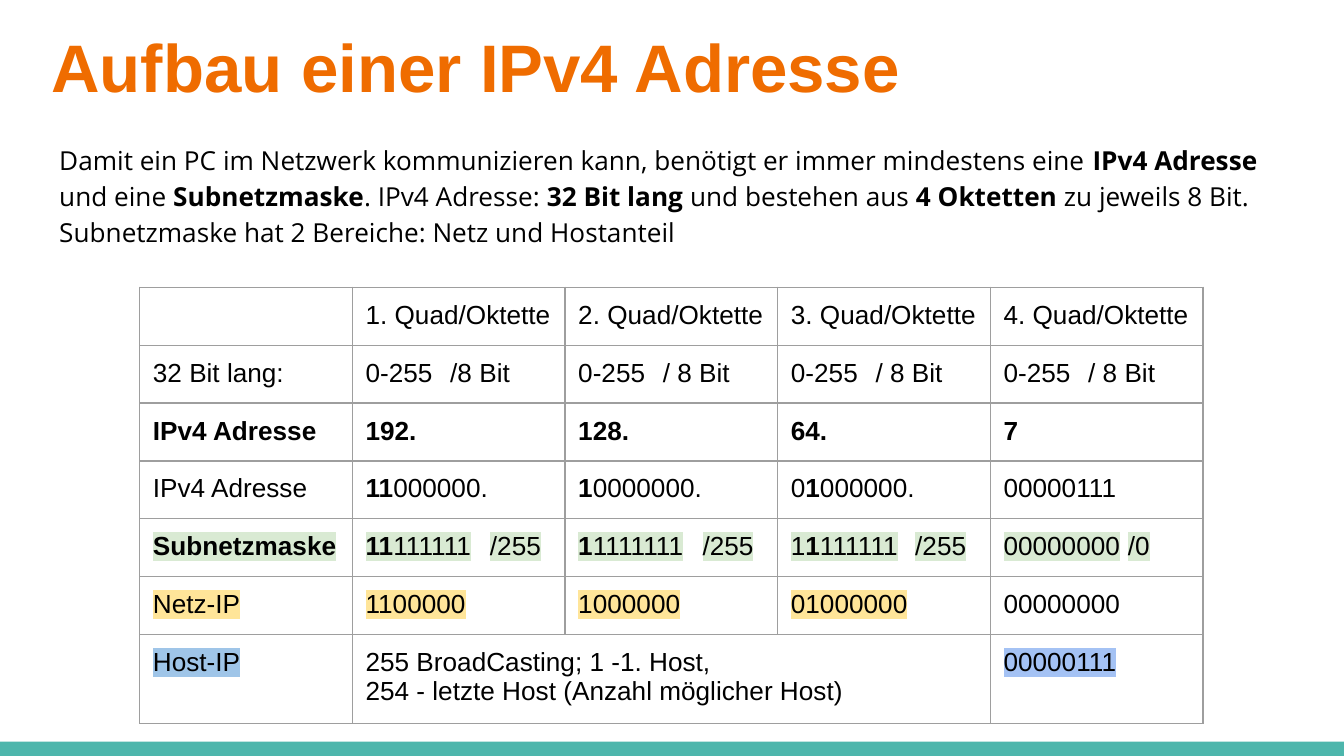
from lxml import etree
from pptx import Presentation
from pptx.dml.color import RGBColor
from pptx.enum.shapes import MSO_SHAPE
from pptx.oxml.ns import qn
from pptx.util import Cm, Pt

RECTANGLE = MSO_SHAPE.RECTANGLE
BLACK, ORANGE, TEAL, GREY = "000000", "EF6C00", "4DB6AC", "9E9E9E"
GREEN, YELLOW, BLUE, VIOLET = "D9EAD3", "FFE599", "9FC5E8", "A4C2F4"
INSET = Cm(0.25)
ROW_HEIGHT, LAST_ROW_HEIGHT, COLUMN_WIDTH = 1.06, 1.6, 4.02

INTRODUCTION = (
    "Damit ein PC im Netzwerk kommunizieren kann, benötigt er immer mindestens eine "
    "**IPv4 Adresse **und eine **Subnetzmaske**. IPv4 Adresse: **32 Bit lang** und "
    "bestehen aus **4 Oktetten** zu jeweils 8 Bit. "
    "Subnetzmaske hat 2 Bereiche: Netz und Hostanteil"
)
ADDRESS_ROWS = [
    ["", *(f"{number}. Quad/Oktette" for number in range(1, 5))],
    ["32 Bit lang:", "0-255\t/8 Bit", *["0-255\t/ 8 Bit"] * 3],
    ["**IPv4 Adresse**", "**192.**", "**128.**", "**64.**", "**7**"],
    ["IPv4 Adresse", "**11**000000.", "**1**0000000.", "0**1**000000.", "00000111"],
    ["**Subnetzmaske**", "**11**111111\t/255", "**1**1111111\t/255",
     "1**1**111111\t/255", "00000000\t/0"],
    ["Netz-IP", "1100000", "1000000", "01000000", "00000000"],
    ["Host-IP", "255 BroadCasting; 1 -1. Host,\n254 - letzte Host (Anzahl möglicher Host)",
     "", "", "00000111"],
]
HIGHLIGHTS = {
    **{(4, column): GREEN for column in range(5)},
    **{(5, column): YELLOW for column in range(4)},
    (6, 0): BLUE,
    (6, 4): VIOLET,
}
TAB_STOPS = {1: 1.6, 4: 2.35}


def color(value):
    """Turn a hex string into a colour."""
    return RGBColor.from_string(value)


class SlideBuilder:
    """Holds the text style and the current slide."""

    def __init__(self, slide, size=14):
        self.slide = slide
        self.size = size

    def bar(self, left, top, width, height, fill):
        shape = self.slide.shapes.add_shape(
            RECTANGLE, Cm(left), Cm(top), Cm(width), Cm(height))
        shape.shadow.inherit = False
        shape.fill.solid()
        shape.fill.fore_color.rgb = color(fill)
        shape.line.fill.background()

    def fill_text(self, frame, text, font="Arial", size=None, ink=BLACK,
                  spacing=None, highlight=None, tab_stop=None):
        for index, line in enumerate(text.split("\n")):
            paragraph = frame.add_paragraph() if index else frame.paragraphs[0]
            if spacing:
                paragraph.line_spacing = spacing
            if tab_stop:
                properties = paragraph._p.get_or_add_pPr()
                tabs = etree.SubElement(properties, qn("a:tabLst"))
                etree.SubElement(tabs, qn("a:tab"), pos=str(Cm(tab_stop)), algn="l")
            paragraph.font.name = font
            paragraph.font.size = Pt(size or self.size)
            paragraph.font.color.rgb = color(ink)
            for part, content in enumerate(line.split("**")):
                if content:
                    self.run(paragraph, content, part % 2 == 1, highlight)

    def run(self, paragraph, content, bold, highlight):
        run = paragraph.add_run()
        run.text = content
        if bold:
            run.font.bold = True
        if highlight:
            marker = etree.SubElement(run._r.get_or_add_rPr(), qn("a:highlight"))
            etree.SubElement(marker, qn("a:srgbClr"), val=highlight)

    def text(self, left, top, width, height, text, **style):
        box = self.slide.shapes.add_textbox(Cm(left), Cm(top), Cm(width), Cm(height))
        frame = box.text_frame
        frame.word_wrap = True
        frame.margin_left = frame.margin_right = INSET
        frame.margin_top = frame.margin_bottom = INSET
        self.fill_text(frame, text, **style)

    def border(self, cell):
        properties = cell._tc.get_or_add_tcPr()
        for position, side in enumerate(("a:lnL", "a:lnR", "a:lnT", "a:lnB")):
            line = etree.Element(qn(side), w=str(Pt(0.75)))
            fill = etree.SubElement(line, qn("a:solidFill"))
            etree.SubElement(fill, qn("a:srgbClr"), val=GREY)
            properties.insert(position, line)

    def table(self, left, top, rows):
        heights = [ROW_HEIGHT] * (len(rows) - 1) + [LAST_ROW_HEIGHT]
        columns = len(rows[0])
        table = self.slide.shapes.add_table(
            len(rows), columns, Cm(left), Cm(top),
            Cm(columns * COLUMN_WIDTH), Cm(sum(heights))).table
        table.first_row = table.horz_banding = False
        for column in table.columns:
            column.width = Cm(COLUMN_WIDTH)
        for row_index, texts in enumerate(rows):
            table.rows[row_index].height = Cm(heights[row_index])
            for column_index, text in enumerate(texts):
                cell = table.cell(row_index, column_index)
                cell.margin_left = cell.margin_right = INSET
                cell.margin_top = cell.margin_bottom = INSET
                cell.fill.background()
                self.border(cell)
                self.fill_text(cell.text_frame, text,
                               highlight=HIGHLIGHTS.get((row_index, column_index)),
                               tab_stop=TAB_STOPS.get(row_index) if "\t" in text else None)
        return table


def main():
    presentation = Presentation()
    presentation.slide_width, presentation.slide_height = Cm(25.4), Cm(14.29)
    builder = SlideBuilder(presentation.slides.add_slide(presentation.slide_layouts[6]))
    builder.bar(0, 14.02, 25.4, 0.27, TEAL)
    builder.text(0.72, 0, 23.67, 1.32, "**Aufbau einer IPv4 Adresse**",
                 size=36, ink=ORANGE, spacing=1.15)
    builder.text(0.87, 2.39, 23.67, 2.6, INTRODUCTION, font="Open Sans", spacing=1.15)
    table = builder.table(2.64, 5.43, ADDRESS_ROWS)
    table.cell(6, 1).merge(table.cell(6, 3))
    presentation.save("out.pptx")


if __name__ == "__main__":
    main()
